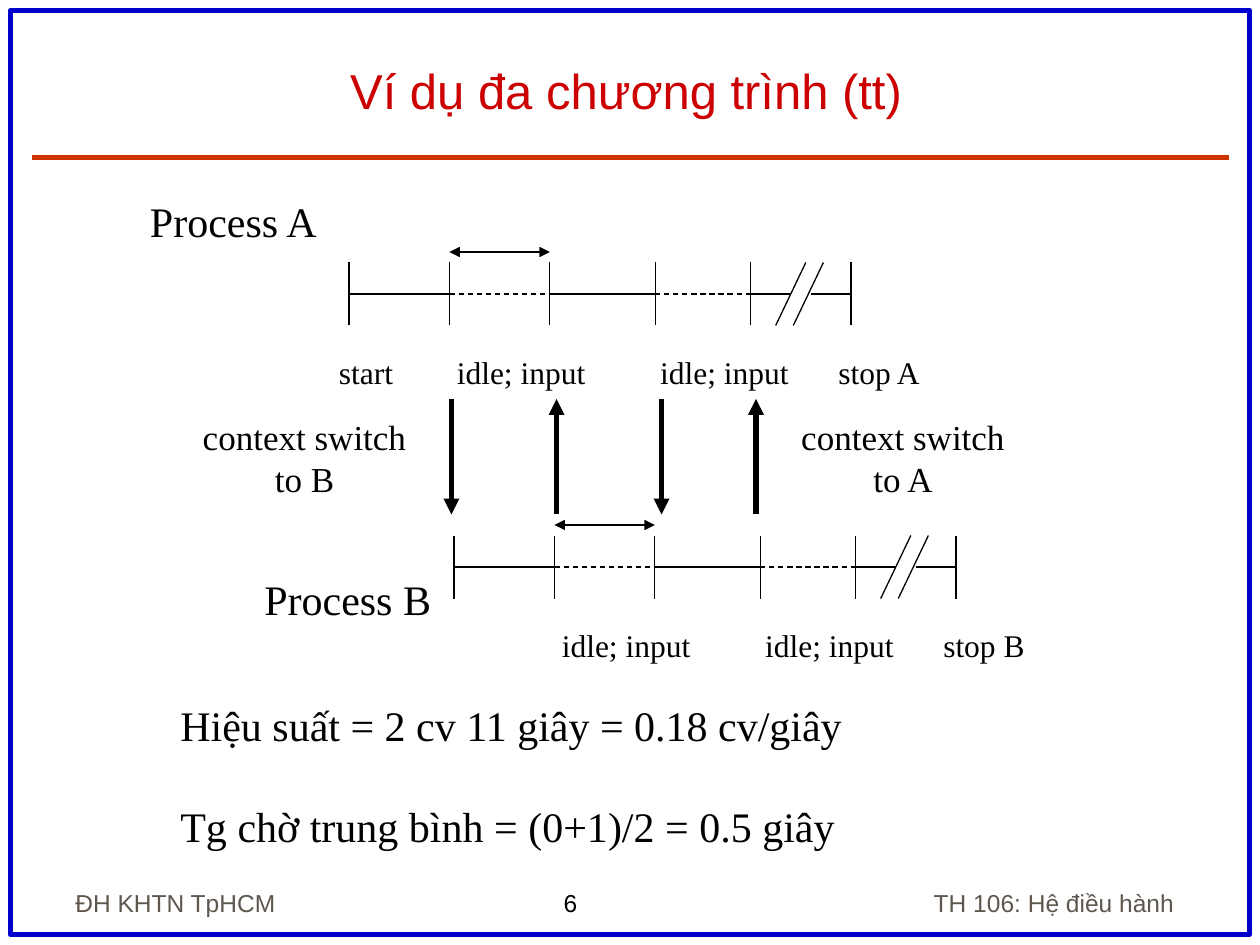
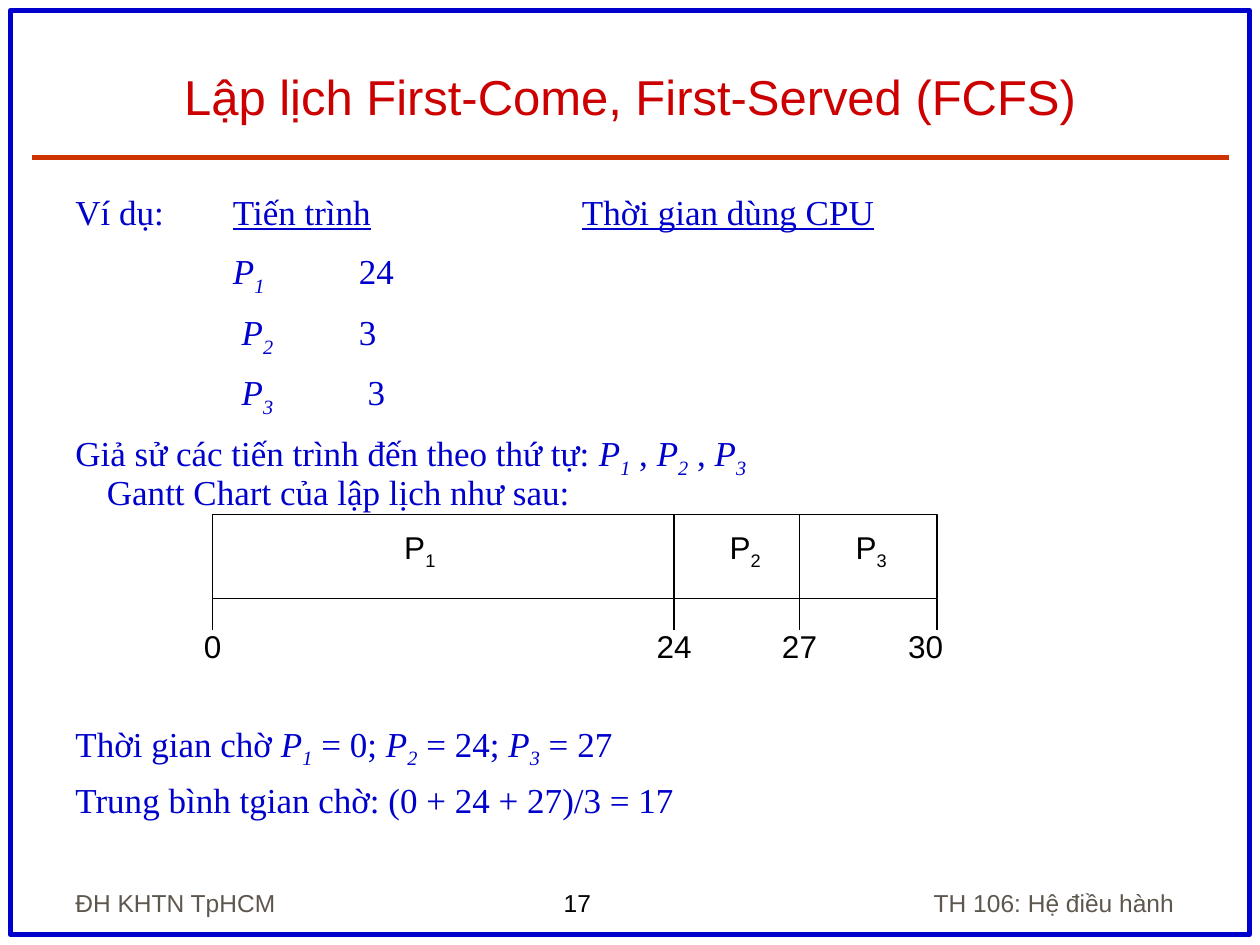
from lxml import etree
from pptx import Presentation
from pptx.dml.color import RGBColor
from pptx.enum.dml import MSO_LINE
from pptx.enum.shapes import MSO_CONNECTOR, MSO_SHAPE
from pptx.enum.text import MSO_ANCHOR, PP_ALIGN
from pptx.oxml.ns import qn
from pptx.util import Inches, Pt

STRAIGHT = MSO_CONNECTOR.STRAIGHT
RECTANGLE = MSO_SHAPE.RECTANGLE
DASH = MSO_LINE.DASH
TOP, MIDDLE, BOTTOM = MSO_ANCHOR.TOP, MSO_ANCHOR.MIDDLE, MSO_ANCHOR.BOTTOM
CENTER, RIGHT = PP_ALIGN.CENTER, PP_ALIGN.RIGHT

WIDTH, HEIGHT = Inches(10), Inches(7.5)
COLUMNS, ROWS = 120, 90
BLACK, WHITE, BLUE, RED, RULE, GREY = "000000", "FFFFFF", "0000CC", "CC0000", "CC3300", "5E574E"
SANS, SERIF = "Arial", "Times New Roman"

TITLE = {"name": SANS, "size": Pt(28), "color": RED}
FOOTER = {"name": SANS, "size": Pt(14), "color": GREY}
PAGE_NUMBER = {**FOOTER, "color": BLACK}
STATEMENT = {"name": SERIF, "size": Pt(24), "color": BLACK}
SWITCH = {**STATEMENT, "size": Pt(20)}
TICK_LABEL = {**STATEMENT, "size": Pt(18)}
BODY = {**SWITCH, "color": BLUE}
GANTT_LABEL = {"name": SANS, "size": Pt(18), "color": BLACK}


def rgb(hex_code):
    """Turn a hex string into a colour."""
    return RGBColor.from_string(hex_code)


def grid(column, row):
    """Turn a grid position into slide lengths."""
    return round(WIDTH * column / COLUMNS), round(HEIGHT * row / ROWS)


def add_run(paragraph, text, style, **extra):
    """Add one run with the given font values."""
    if not text:
        return
    run = paragraph.add_run()
    run.text = text
    values = {**style, **extra}
    run.font.color.rgb = rgb(values.pop("color"))
    baseline = values.pop("baseline", None)
    for key, value in values.items():
        setattr(run.font, key, value)
    if baseline:
        run._r.get_or_add_rPr().set("baseline", baseline)


def add_marked_text(paragraph, text, style, italic):
    """Underline what stands between stars and lower the digit after P_."""
    for part, stretch in enumerate(text.split("*")):
        underline = {"underline": True} if part % 2 else {}
        plain, *processes = stretch.split("P_")
        add_run(paragraph, plain, style, **underline)
        for process in processes:
            add_run(paragraph, "P", style, italic=italic)
            add_run(paragraph, process[0], style, italic=italic, baseline="-25000")
            add_run(paragraph, process[1:], style)


def add_text(slide, box, paragraphs, style, anchor=TOP, italic=False, tabs=(), **layout):
    """Write paragraphs, each a text with its own layout values, in a grid box."""
    column, row, width, height = box
    frame = slide.shapes.add_textbox(*grid(column, row), *grid(width, height)).text_frame
    frame.word_wrap = True
    frame.vertical_anchor = anchor
    for index, (text, own_layout) in enumerate(paragraphs):
        paragraph = frame.add_paragraph() if index else frame.paragraphs[0]
        values = {**layout, **own_layout}
        properties = paragraph._p.get_or_add_pPr()
        for key in ("marL", "indent"):
            if key in values:
                properties.set(key, str(values.pop(key)))
        for key, value in values.items():
            setattr(paragraph, key, value)
        if tabs:
            stops = etree.SubElement(properties, qn("a:tabLst"))
            for stop in tabs:
                etree.SubElement(stops, qn("a:tab"), pos=str(Inches(stop)), algn="l")
        add_marked_text(paragraph, text, style, italic)


def add_label(slide, box, text, style, **layout):
    """Write a single paragraph in a grid box."""
    add_text(slide, box, [(text, {})], style, **layout)


def add_line(slide, start, end, color=BLACK, width=0.75, dashed=False, arrows=()):
    """Draw a straight line between grid points, with arrowheads at the named ends."""
    connector = slide.shapes.add_connector(STRAIGHT, *grid(*start), *grid(*end))
    connector.line.color.rgb = rgb(color)
    connector.line.width = Pt(width)
    if dashed:
        connector.line.dash_style = DASH
    for arrow in arrows:
        etree.SubElement(connector.line._get_or_add_ln(), qn(f"a:{arrow}"), type="triangle")
    etree.SubElement(connector._element.spPr, qn("a:effectLst"))


def add_rectangle(slide, box, line_color, line_width, fill=None):
    """Draw an outlined rectangle, filled if a colour is given."""
    column, row, width, height = box
    rectangle = slide.shapes.add_shape(RECTANGLE, *grid(column, row), *grid(width, height))
    rectangle.shadow.inherit = False
    rectangle.line.color.rgb = rgb(line_color)
    rectangle.line.width = Pt(line_width)
    if fill:
        rectangle.fill.solid()
        rectangle.fill.fore_color.rgb = rgb(fill)
    else:
        rectangle.fill.background()


def add_framed_slide(deck, title, title_box, number):
    """Start a slide with its border, rule, footers and title."""
    slide = deck.slides.add_slide(deck.slide_layouts[6])
    add_label(slide, (52.5, 84, 13, 4), number, PAGE_NUMBER)
    add_rectangle(slide, (1, 1, 118, 88), BLUE, 3)
    add_line(slide, (3, 15), (117, 15), RULE, 3)
    add_label(slide, (6, 82, 25, 6), "ĐH KHTN TpHCM", FOOTER, anchor=BOTTOM)
    add_label(slide, (80, 82, 33, 6), "TH 106: Hệ điều hành", FOOTER,
              anchor=BOTTOM, alignment=RIGHT)
    add_label(slide, title_box, title, TITLE, anchor=BOTTOM, alignment=CENTER)
    return slide


def add_timeline(slide, box, labels):
    """Draw a process run: ticks, busy and idle stretches, a break and labels."""
    left, top, width, height = box
    middle, bottom = top + height / 2, top + height
    ticks = [left + width * share for share in (0, 0.2, 0.4, 0.61, 0.8, 1)]
    for tick in ticks:
        add_line(slide, (tick, top), (tick, bottom))
    for index, (start, end) in enumerate(zip(ticks[:4], ticks[1:5])):
        add_line(slide, (start, middle), (end, middle), dashed=index % 2 == 1)
    gap = width * 0.08
    add_line(slide, (ticks[4], middle), (ticks[4] + gap, middle))
    add_line(slide, (ticks[5] - gap, middle), (ticks[5], middle))
    for share in (0.85, 0.885):
        foot = left + width * share
        add_line(slide, (foot, bottom), (foot + width * 0.06, top))
    add_line(slide, (ticks[1], top - 1), (ticks[2], top - 1), arrows=("headEnd", "tailEnd"))
    for share, text in labels:
        add_label(slide, (left + width * share, bottom + 2, 17, 5), text, TICK_LABEL)


def add_context_switches(slide, box):
    """Draw the alternating switch arrows and the notes beside them."""
    left, top, width, height = box
    for index, share in enumerate((0, 0.345, 0.69, 1)):
        column = left + width * share
        direction = "headEnd" if index % 2 else "tailEnd"
        add_line(slide, (column, top), (column, top + height), width=3, arrows=(direction,))
    for column, target in ((left - 25, "B"), (left + width + 3, "A")):
        add_label(slide, (column, top + 1, 22, 9), f"context switch to {target}",
                  SWITCH, alignment=CENTER)


def build_multiprogramming_slide(deck):
    """Build the slide with two interleaved processes."""
    slide = add_framed_slide(deck, "Ví dụ đa chương trình (tt)", (5.25, 3, 108.75, 9), "6")
    add_label(slide, (13.1, 18, 21, 6), "Process A", STATEMENT)
    add_label(slide, (24, 54, 19, 6), "Process B", STATEMENT)
    idles = [(0.19, "idle; input"), (0.595, "idle; input")]
    add_timeline(slide, (33.25, 25, 47.8, 6), [(-0.045, "start"), *idles, (0.95, "stop A")])
    add_timeline(slide, (43.25, 51, 47.8, 6), [*idles, (0.95, "stop B")])
    add_context_switches(slide, (43, 38, 29, 11))
    add_text(slide, (16, 66, 72, 15.6), [
        ("Hiệu suất = 2 cv 11 giây = 0.18 cv/giây", {}),
        ("Tg chờ trung bình = (0+1)/2 = 0.5 giây", {"space_before": Pt(29)}),
    ], STATEMENT)


def add_gantt(slide, box):
    """Draw the Gantt bar with its boundaries, process names and times."""
    left, top, width, height = box
    bottom = top + height
    add_rectangle(slide, box, BLACK, 0.75, WHITE)
    bounds = [left + width * share for share in (0, 0.637, 0.81, 1)]
    for bound in bounds:
        add_line(slide, (bound, bottom), (bound, bottom + 3))
    for bound in bounds[1:-1]:
        add_line(slide, (bound, top), (bound, bottom))
    names = zip((0.286, 0.735, 0.909), ("P_1", "P_2", "P_3"))
    times = zip((0, 0.637, 0.81, 0.984), ("0", "24", "27", "30"))
    for row, labels in ((top + 0.8, names), (bottom + 2, times)):
        for share, text in labels:
            add_label(slide, (left + width * share - 4, row, 8, 5), text, GANTT_LABEL,
                      anchor=MIDDLE, alignment=CENTER)


def build_fcfs_slide(deck):
    """Build the slide with the scheduling example and its Gantt bar."""
    slide = add_framed_slide(deck, "Lập lịch First-Come, First-Served (FCFS)",
                             (8, 6.5, 104, 6), "17")
    add_text(slide, (6, 18, 107.25, 61.5), [
        ("Ví dụ:\t*Tiến trình*\t*Thời gian dùng CPU*", {}),
        ("\tP_1\t24", {}),
        ("\t P_2\t3", {}),
        ("\t P_3\t 3", {}),
        ("Giả sử các tiến trình đến theo thứ tự: P_1 , P_2 , P_3", {}),
        ("Gantt Chart của lập lịch như sau:",
         {"marL": Inches(0.25), "indent": 0, "space_before": Pt(0)}),
        ("Thời gian chờ P_1 = 0; P_2 = 24; P_3 = 27", {"space_before": Pt(120)}),
        ("Trung bình tgian chờ: (0 + 24 + 27)/3 = 17", {}),
    ], BODY, italic=True, tabs=(1.25, 2.25, 4.02), line_spacing=0.9, space_before=Pt(10))
    add_gantt(slide, (20.25, 49, 69, 8))


def main():
    """Build and save the deck."""
    deck = Presentation()
    deck.slide_width, deck.slide_height = WIDTH, HEIGHT
    build_multiprogramming_slide(deck)
    build_fcfs_slide(deck)
    deck.save("out.pptx")


if __name__ == "__main__":
    main()
